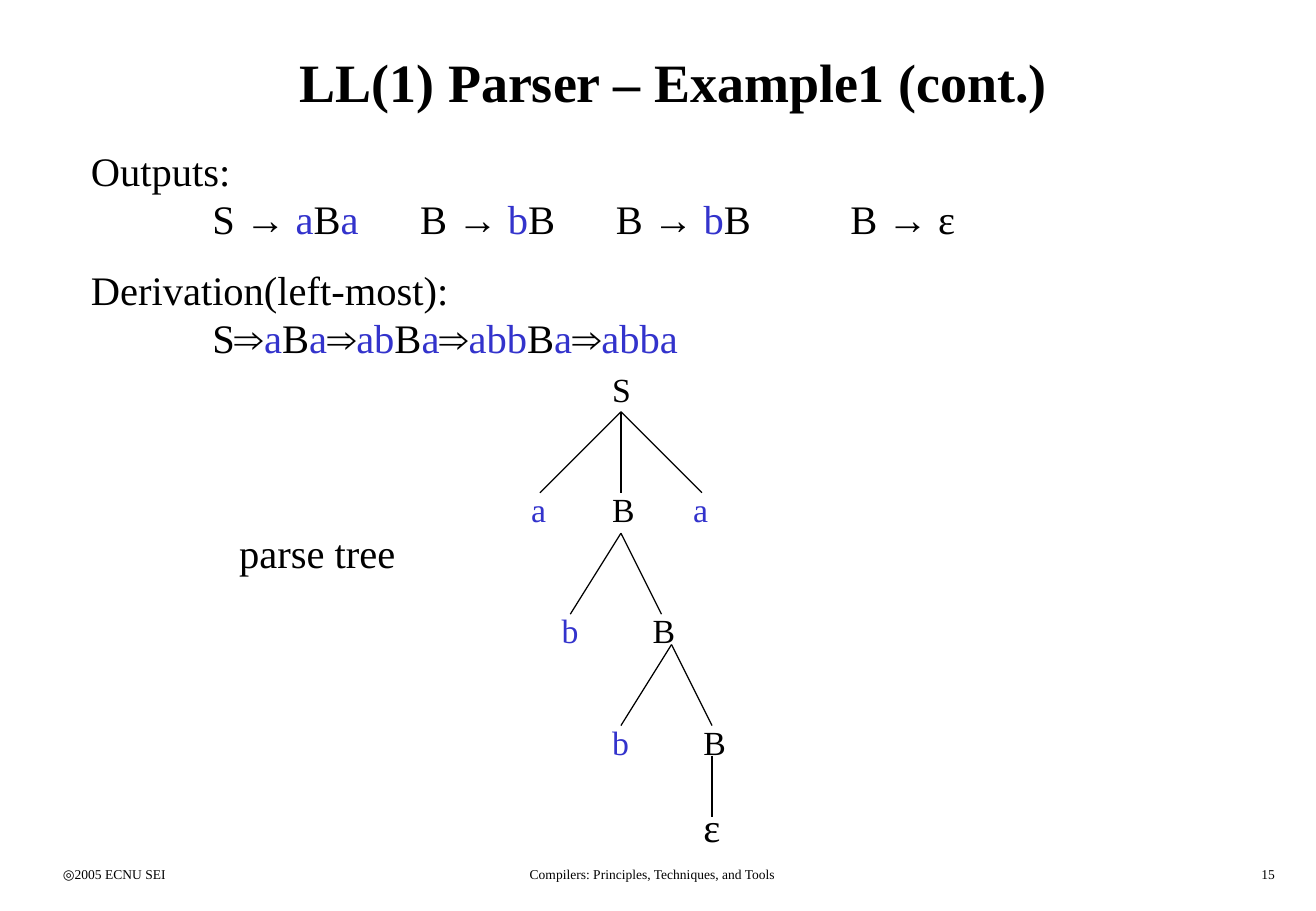
"""Build the LL(1) parser example slide with its derivation and parse tree."""
from itertools import groupby

from lxml import etree
from pptx import Presentation
from pptx import util as u
from pptx.dml.color import RGBColor
from pptx.enum import shapes, text
from pptx.oxml.ns import qn

WIDTH, HEIGHT = 10.83, 7.5
FONT, BLACK, BLUE = "Times New Roman", "000000", "3333CC"
LEFT, CENTER, RIGHT = text.PP_ALIGN.LEFT, text.PP_ALIGN.CENTER, text.PP_ALIGN.RIGHT

TITLE = "LL(1) Parser – Example1 (cont.)"
FOOTERS = [
    ("◎2005 ECNU SEI", 0.42, 2.26, LEFT),
    ("Compilers: Principles, Techniques, and Tools", 3.34, 4.06, CENTER),
    ("15", 8.33, 2.26, RIGHT),
]
STEPS = [
    ("Outputs:", ["S → aBa", "B → bB", "B → bB", "B → ε"], "\t"),
    ("Derivation(left-most):", ["S", "aBa", "abBa", "abbBa", "abba"], "⇒"),
]
STEP_TOP, STEP_PITCH = 1.15, 0.98
TAB_STOPS = [1.0, 2.71, 4.32, 6.25]

# Tree grid: columns and rows of 1/12 inch, counted from the foot of the root.
CELL, STEM_X, STEM_Y = 1 / 12, 5.11, 3.39
LABEL_SHIFT = 0.17
NODES = [
    ("S", 0, -4.8), ("a", -8, 7), ("B", 0, 7), ("a", 8, 7),
    ("b", -5, 19), ("B", 4, 19), ("b", 0, 30), ("B", 9, 30), ("ε", 9, 38),
]
BRANCHES = [
    ((0, 0), [(-8, 8), (0, 8), (8, 8)]),
    ((0, 12), [(-5, 20), (4, 20)]),
    ((5, 23), [(0, 31), (9, 31)]),
    ((9, 34), [(9, 40)]),
]


def rgb(color):
    """Turn a hex string into a colour."""
    return RGBColor.from_string(color)


def write(paragraph, content, size=24, bold=False, align=LEFT, terminals=""):
    """Fill a paragraph, colouring the grammar terminals blue."""
    paragraph.alignment = align
    for is_terminal, letters in groupby(content, lambda letter: letter in terminals):
        run = paragraph.add_run()
        run.text = "".join(letters)
        run.font.name, run.font.size, run.font.bold = FONT, u.Pt(size), bold
        run.font.color.rgb = rgb(BLUE if is_terminal else BLACK)


def add_box(slide, left, top, width, height):
    """Add a wrapping text box and return its text frame."""
    frame = slide.shapes.add_textbox(*map(u.Inches, (left, top, width, height))).text_frame
    frame.word_wrap = True
    return frame


def set_tabs(paragraph):
    """Give a paragraph the tab stops of the grammar rules."""
    stops = etree.SubElement(paragraph._p.get_or_add_pPr(), qn("a:tabLst"))
    for stop in TAB_STOPS:
        etree.SubElement(stops, qn("a:tab"), pos=str(u.Inches(stop)), algn="l")


def grid(column, row):
    """Place a tree grid point on the slide, in inches."""
    return STEM_X + column * CELL, STEM_Y + row * CELL


def add_branch(slide, parent, child):
    """Draw one edge of the parse tree."""
    ends = map(u.Inches, grid(*parent) + grid(*child))
    edge = slide.shapes.add_connector(shapes.MSO_CONNECTOR.STRAIGHT, *ends)
    edge.line.color.rgb, edge.line.width = rgb(BLACK), u.Pt(0.75)
    etree.SubElement(edge._element.spPr, qn("a:effectLst"))


def main():
    """Compose and save the slide."""
    deck = Presentation()
    deck.slide_width, deck.slide_height = u.Inches(WIDTH), u.Inches(HEIGHT)
    slide = deck.slides.add_slide(deck.slide_layouts[5])

    title = slide.shapes.title
    title.left, title.top, title.width, title.height = map(u.Inches, (0.42, 0.17, 10.25, 1))
    title.text_frame.vertical_anchor = text.MSO_ANCHOR.MIDDLE
    write(title.text_frame.paragraphs[0], TITLE, size=32, bold=True, align=CENTER)

    for footer, left, width, align in FOOTERS:
        frame = add_box(slide, left, 7.08, width, 0.25)
        write(frame.paragraphs[0], footer, size=8, align=align)

    for index, (heading, parts, joint) in enumerate(STEPS):
        frame = add_box(slide, 0.65, STEP_TOP + index * STEP_PITCH, 8.2, 0.9)
        write(frame.paragraphs[0], heading)
        rule = frame.add_paragraph()
        set_tabs(rule)
        write(rule, "\t" + joint.join(parts), terminals="ab")

    for parent, children in BRANCHES:
        for child in children:
            add_branch(slide, parent, child)

    for symbol, column, row in NODES:
        left, top = grid(column, row)
        frame = add_box(slide, left - LABEL_SHIFT, top, 0.4, 0.43)
        write(frame.paragraphs[0], symbol, size=24 if symbol == "ε" else 20, terminals="ab")

    write(add_box(slide, 1.87, 4.3, 1.6, 0.5).paragraphs[0], "parse tree")
    deck.save("out.pptx")


if __name__ == "__main__":
    main()
